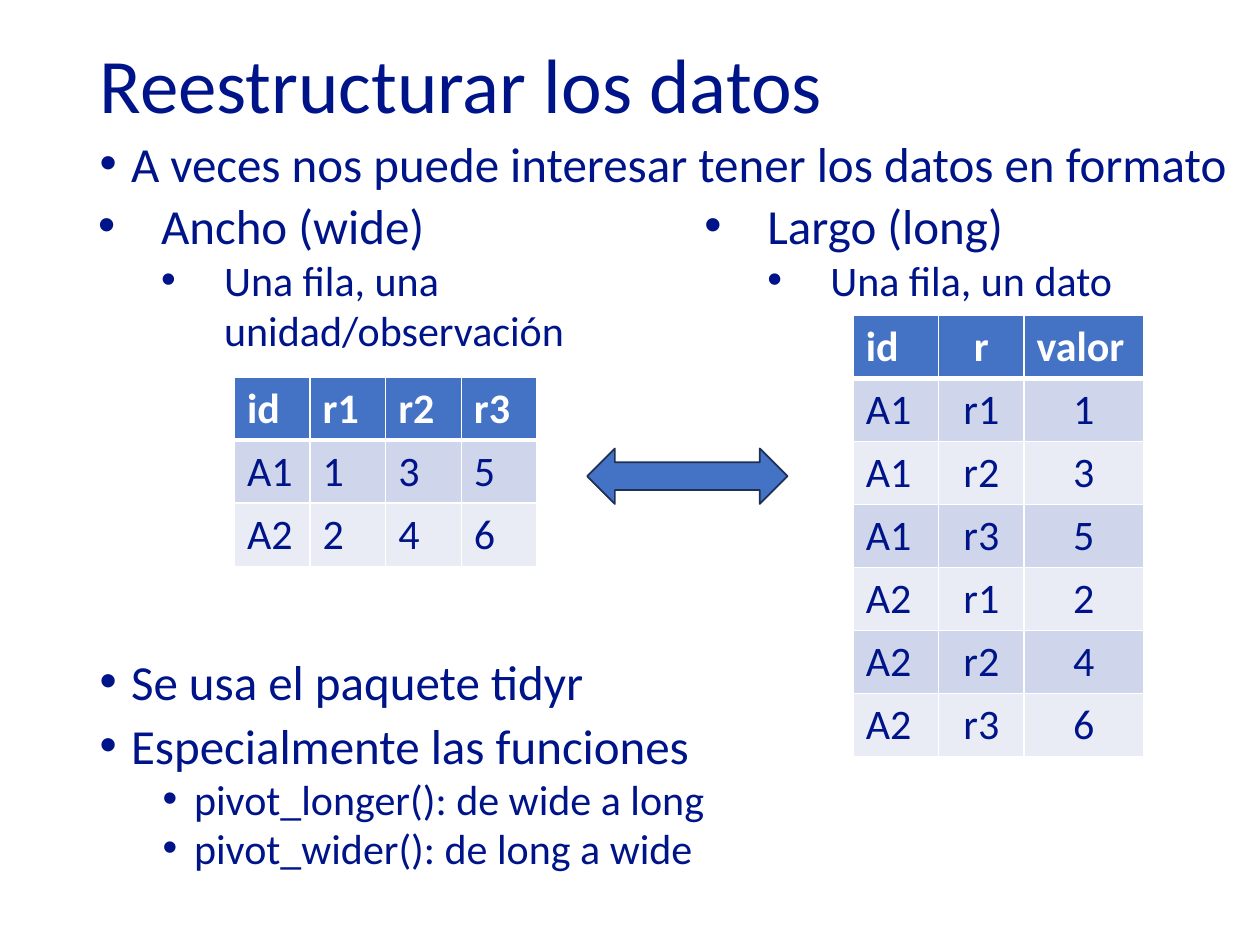
from lxml import etree
from pptx import Presentation
from pptx.dml.color import RGBColor
from pptx.enum.shapes import MSO_SHAPE
from pptx.enum.text import MSO_ANCHOR, MSO_AUTO_SIZE, PP_ALIGN
from pptx.oxml.ns import qn
from pptx.util import Pt

LEFT, CENTER = PP_ALIGN.LEFT, PP_ALIGN.CENTER
TOP, MIDDLE = MSO_ANCHOR.TOP, MSO_ANCHOR.MIDDLE
ARROW = MSO_SHAPE.LEFT_RIGHT_ARROW
FONT = "Calibri"
COLORS = {
    "text": "001489",
    "white": "FFFFFF",
    "blue": "4472C4",
    "outline": "1D3155",
    "odd": "CFD5EA",
    "even": "E9EBF5",
}
ROW_HEIGHT = 36


def rgb(name):
    return RGBColor.from_string(COLORS[name])


def place(shape, left, top, width, height):
    shape.left, shape.top = Pt(left), Pt(top)
    shape.width, shape.height = Pt(width), Pt(height)


def style(para, size, color="text", bold=False):
    font = para.font
    font.name, font.size, font.bold = FONT, Pt(size), bold
    font.color.rgb = rgb(color)


def add_bullet(para, margin, hanging):
    props = para._p.get_or_add_pPr()
    props.set("marL", str(Pt(margin)))
    props.set("indent", str(Pt(-hanging)))
    color = etree.SubElement(props, qn("a:buClr"))
    etree.SubElement(color, qn("a:srgbClr"), val=COLORS["text"])
    etree.SubElement(props, qn("a:buFont"), typeface="Arial")
    etree.SubElement(props, qn("a:buChar"), char="•")


def fill_list(frame, items, hanging, line_spacing=None):
    """Each item holds text, level, size, left margin and space before."""
    frame.word_wrap = True
    for index, (text, level, size, margin, before) in enumerate(items):
        para = frame.add_paragraph() if index else frame.paragraphs[0]
        para.text, para.level = text, level
        para.alignment = LEFT
        para.space_before = Pt(before)
        para.line_spacing = line_spacing
        add_bullet(para, margin, hanging)
        style(para, size)


def add_title(slide, text):
    title = slide.shapes.title
    place(title, 49.7, -1.4, 620.6, 104.4)
    frame = title.text_frame
    frame.text = text
    frame.auto_size = MSO_AUTO_SIZE.NONE
    frame.vertical_anchor = MIDDLE
    para = frame.paragraphs[0]
    para.alignment, para.line_spacing = LEFT, 0.9
    style(para, 44)


def add_body(slide):
    body = slide.placeholders[1]
    place(body, 49.7, 79.2, 663.8, 460.8)
    frame = body.text_frame
    frame.auto_size = MSO_AUTO_SIZE.NONE
    frame.vertical_anchor = TOP
    # The second item leaves room for the tables
    items = [
        ("A veces nos puede interesar tener los datos en formato", 0, 28, 18, 10),
        ("Se usa el paquete tidyr", 0, 28, 18, 269),
        ("Especialmente las funciones", 0, 28, 18, 10),
        ("pivot_longer(): de wide a long", 1, 24, 54, 5),
        ("pivot_wider(): de long a wide", 1, 24, 54, 5),
    ]
    fill_list(frame, items, 18, 0.8)


def add_formats(slide):
    box = slide.shapes.add_textbox(Pt(13), Pt(108), Pt(707), Pt(127.4))
    frame = box.text_frame
    frame.auto_size = MSO_AUTO_SIZE.SHAPE_TO_FIT_TEXT
    items = [
        ("Ancho (wide)", 1, 28, 72, 0),
        ("Una fila, una unidad/observación", 2, 24, 108, 0),
        ("Largo (long)", 1, 28, 72, 0),
        ("Una fila, un dato", 2, 24, 108, 0),
    ]
    fill_list(frame, items, 36)
    frame._txBody.bodyPr.set("numCol", "2")


def add_borders(cell, row):
    widths = {"L": 0.96, "R": 0.96,
              "T": 3 if row == 1 else 0.96,
              "B": 3 if row == 0 else 0.96}
    props = cell._tc.get_or_add_tcPr()
    for side, width in widths.items():
        line = etree.SubElement(props, qn(f"a:ln{side}"), w=str(Pt(width)))
        fill = etree.SubElement(line, qn("a:solidFill"))
        etree.SubElement(fill, qn("a:srgbClr"), val=COLORS["white"])


def add_data_table(slide, left, top, widths, rows, head_aligns, body_aligns):
    frame = slide.shapes.add_table(
        len(rows), len(widths), Pt(left), Pt(top),
        Pt(sum(widths)), Pt(ROW_HEIGHT * len(rows)))
    table = frame.table
    for column, width in zip(table.columns, widths):
        column.width = Pt(width)
    for r, values in enumerate(rows):
        head = r == 0
        color = "blue" if head else ("odd" if r % 2 else "even")
        aligns = head_aligns if head else body_aligns
        for c, value in enumerate(values):
            cell = table.cell(r, c)
            cell.text = value
            add_borders(cell, r)
            cell.fill.solid()
            cell.fill.fore_color.rgb = rgb(color)
            para = cell.text_frame.paragraphs[0]
            para.alignment = aligns[c]
            style(para, 24, "white" if head else "text", head)


def add_arrow(slide):
    arrow = slide.shapes.add_shape(ARROW, Pt(335.5), Pt(256.3), Pt(114.5), Pt(31.7))
    arrow.shadow.inherit = False
    arrow.fill.solid()
    arrow.fill.fore_color.rgb = rgb("blue")
    arrow.line.color.rgb = rgb("outline")
    arrow.line.width = Pt(1)


def main():
    deck = Presentation()
    deck.slide_width, deck.slide_height = Pt(720), Pt(540)
    slide = deck.slides.add_slide(deck.slide_layouts[1])

    # Title and lists
    add_title(slide, "Reestructurar los datos")
    add_body(slide)
    add_formats(slide)

    # The same data in wide and long format
    wide = [("id", "r1", "r2", "r3"), ("A1", "1", "3", "5"), ("A2", "2", "4", "6")]
    names = wide[0][1:]
    long = [("id", "r", "valor")]
    long += [(unit, name, value) for unit, *values in wide[1:]
             for name, value in zip(names, values)]
    add_data_table(slide, 134, 215.5, [43.2] * 4, wide, [LEFT] * 4, [LEFT] * 4)
    add_data_table(slide, 487.6, 180.2, [48.8, 48.8, 68.4], long,
                   [LEFT, CENTER, LEFT], [LEFT, CENTER, CENTER])
    add_arrow(slide)

    deck.save("out.pptx")


if __name__ == "__main__":
    main()
